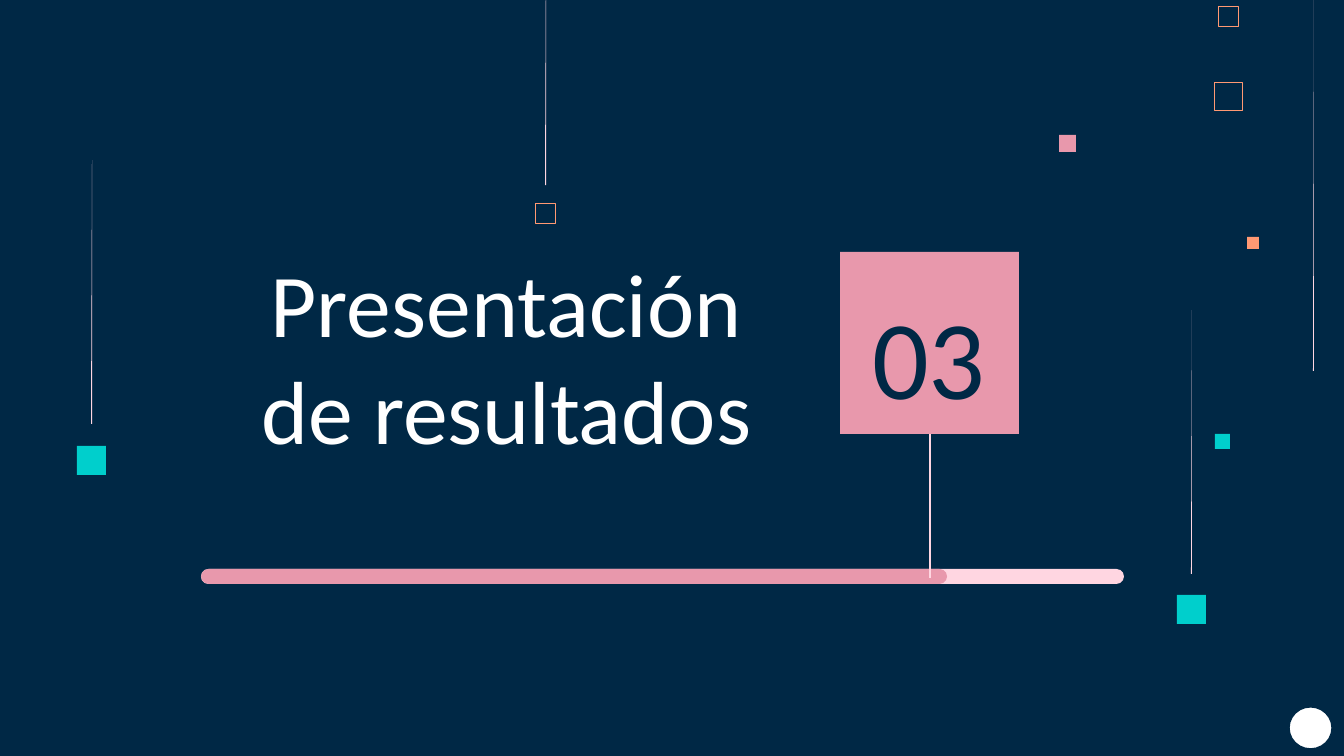
from typing import NamedTuple

from lxml import etree
from pptx import Presentation
from pptx.dml.color import RGBColor
from pptx.enum.shapes import MSO_CONNECTOR, MSO_SHAPE
from pptx.enum.text import MSO_ANCHOR, MSO_AUTO_SIZE, PP_ALIGN
from pptx.oxml.ns import qn
from pptx.shapes.base import BaseShape
from pptx.slide import Slide
from pptx.util import Emu, Inches, Pt

RECTANGLE, ROUNDED, OVAL = MSO_SHAPE.RECTANGLE, MSO_SHAPE.ROUNDED_RECTANGLE, MSO_SHAPE.OVAL
STRAIGHT = MSO_CONNECTOR.STRAIGHT
BOTTOM, MIDDLE = MSO_ANCHOR.BOTTOM, MSO_ANCHOR.MIDDLE
CENTER, NO_FIT = PP_ALIGN.CENTER, MSO_AUTO_SIZE.NONE

EMU_PER_PX = 914400 / 134.4
PAGE_WIDTH, PAGE_HEIGHT = 1344, 756
TITLE_ONLY = 5

NAVY, WHITE = "002845", "FFFFFF"
PINK, PALE_PINK = "E898AC", "FFD6E1"
TEAL, ORANGE = "00CFCC", "FF9973"


class Box(NamedTuple):
    left: int
    top: int
    width: int
    height: int


class Square(NamedTuple):
    left: int
    top: int
    side: int
    fill: str | None = None
    line_width: float = 0


class Streak(NamedTuple):
    """A thin line that tapers to a point at its top."""
    left: int
    top: int
    bottom: int


SQUARES = [
    Square(1059, 135, 17, PINK),
    Square(1215, 434, 15, TEAL),
    Square(1214, 82, 28, line_width=0.45),
    Square(1218, 6, 20, line_width=0.32),
    Square(1247, 237, 12, ORANGE),
    Square(535, 203, 20, line_width=0.32),
    Square(1177, 595, 29, TEAL),
    Square(77, 446, 29, TEAL),
]
STREAKS = [
    Streak(545, -65, 185),
    Streak(1313, 0, 371),
    Streak(1191, 310, 574),
    Streak(91, 160, 424),
]
TITLE_BOX = Box(223, 234, 567, 242)
TRACK_BAR = Box(201, 569, 923, 15)
PROGRESS_BAR = Box(201, 569, 746, 15)
NUMBER_SQUARE = Box(840, 252, 179, 182)
NUMBER_BOX = Box(857, 312, 144, 85)
PAGE_DOT = Box(1289, 707, 43, 42)


def px(length: int) -> Emu:
    return Emu(round(length * EMU_PER_PX))


def color(value: str) -> RGBColor:
    return RGBColor.from_string(value)


def paint(shape: BaseShape, fill: str | None, line: str | None = None, width: float = 0) -> None:
    shape.shadow.inherit = False
    if fill:
        shape.fill.solid()
        shape.fill.fore_color.rgb = color(fill)
    else:
        shape.fill.background()
    if line:
        shape.line.color.rgb = color(line)
        shape.line.width = Pt(width)
    else:
        shape.line.fill.background()


def add_preset(page: Slide, preset: MSO_SHAPE, box: Box, fill: str | None,
               line: str | None = None, width: float = 0) -> BaseShape:
    shape = page.shapes.add_shape(preset, *map(px, box))
    paint(shape, fill, line, width)
    return shape


def add_square(page: Slide, square: Square) -> None:
    box = Box(square.left, square.top, square.side, square.side)
    line = None if square.fill else ORANGE
    add_preset(page, RECTANGLE, box, square.fill, line, square.line_width)


def add_streak(page: Slide, streak: Streak) -> None:
    right = streak.left + 1
    builder = page.shapes.build_freeform(right, streak.top, scale=EMU_PER_PX)
    builder.add_line_segments([(streak.left, streak.bottom), (right, streak.bottom)])
    paint(builder.convert_to_shape(), PALE_PINK)


def add_bar(page: Slide, box: Box, fill: str) -> None:
    add_preset(page, ROUNDED, box, fill).adjustments[0] = 0.5


def add_stem(page: Slide, x: int, top: int, bottom: int) -> None:
    stem = page.shapes.add_connector(STRAIGHT, px(x), px(top), px(x), px(bottom))
    stem.line.color.rgb = color(PALE_PINK)
    stem.line.width = Pt(1.5)
    etree.SubElement(stem.element.spPr, qn("a:effectLst"))


def set_text(shape: BaseShape, box: Box, text: str, size: int, text_color: str,
             anchor: MSO_ANCHOR) -> None:
    shape.left, shape.top, shape.width, shape.height = map(px, box)
    frame = shape.text_frame
    frame.text = text
    frame.word_wrap = True
    frame.auto_size = NO_FIT
    frame.vertical_anchor = anchor
    frame.margin_left = frame.margin_right = Inches(0.1)
    frame.margin_top = frame.margin_bottom = Inches(0.1)
    para = frame.paragraphs[0]
    para.alignment = CENTER
    para.font.name = "Calibri"
    para.font.size = Pt(size)
    para.font.color.rgb = color(text_color)


def main() -> None:
    deck = Presentation()
    deck.slide_width, deck.slide_height = px(PAGE_WIDTH), px(PAGE_HEIGHT)
    page = deck.slides.add_slide(deck.slide_layouts[TITLE_ONLY])
    page.background.fill.solid()
    page.background.fill.fore_color.rgb = color(NAVY)

    for square in SQUARES:
        add_square(page, square)
    for streak in STREAKS:
        add_streak(page, streak)

    set_text(page.shapes.title, TITLE_BOX, "Presentación de resultados", 48, WHITE, BOTTOM)

    add_bar(page, TRACK_BAR, PALE_PINK)
    add_bar(page, PROGRESS_BAR, PINK)
    add_stem(page, 930, 434, 578)
    add_preset(page, RECTANGLE, NUMBER_SQUARE, PINK)
    number = page.shapes.add_textbox(*map(px, NUMBER_BOX))
    set_text(number, NUMBER_BOX, "03", 60, NAVY, MIDDLE)
    add_preset(page, OVAL, PAGE_DOT, WHITE, NAVY, 0.75)

    deck.save("out.pptx")


if __name__ == "__main__":
    main()
